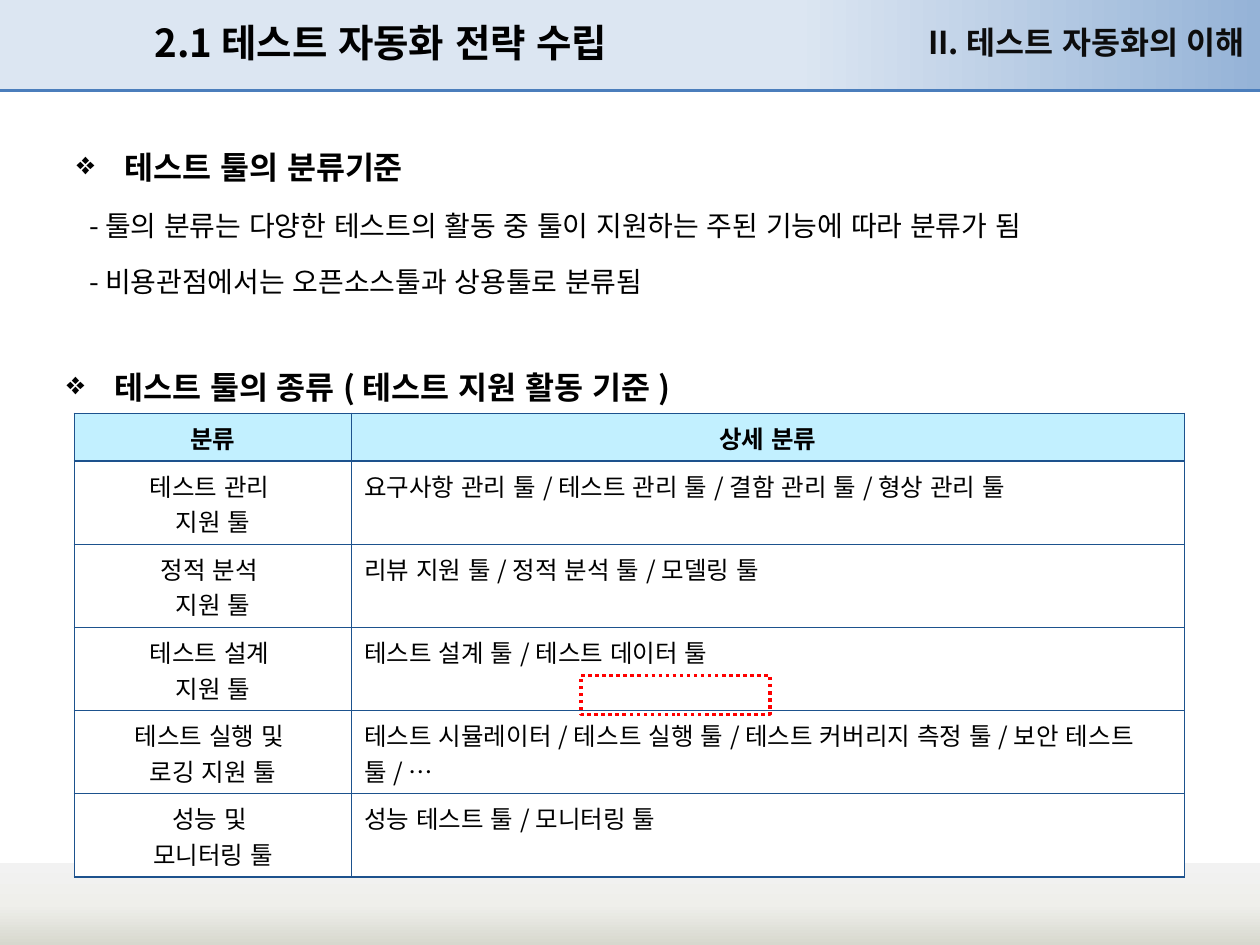
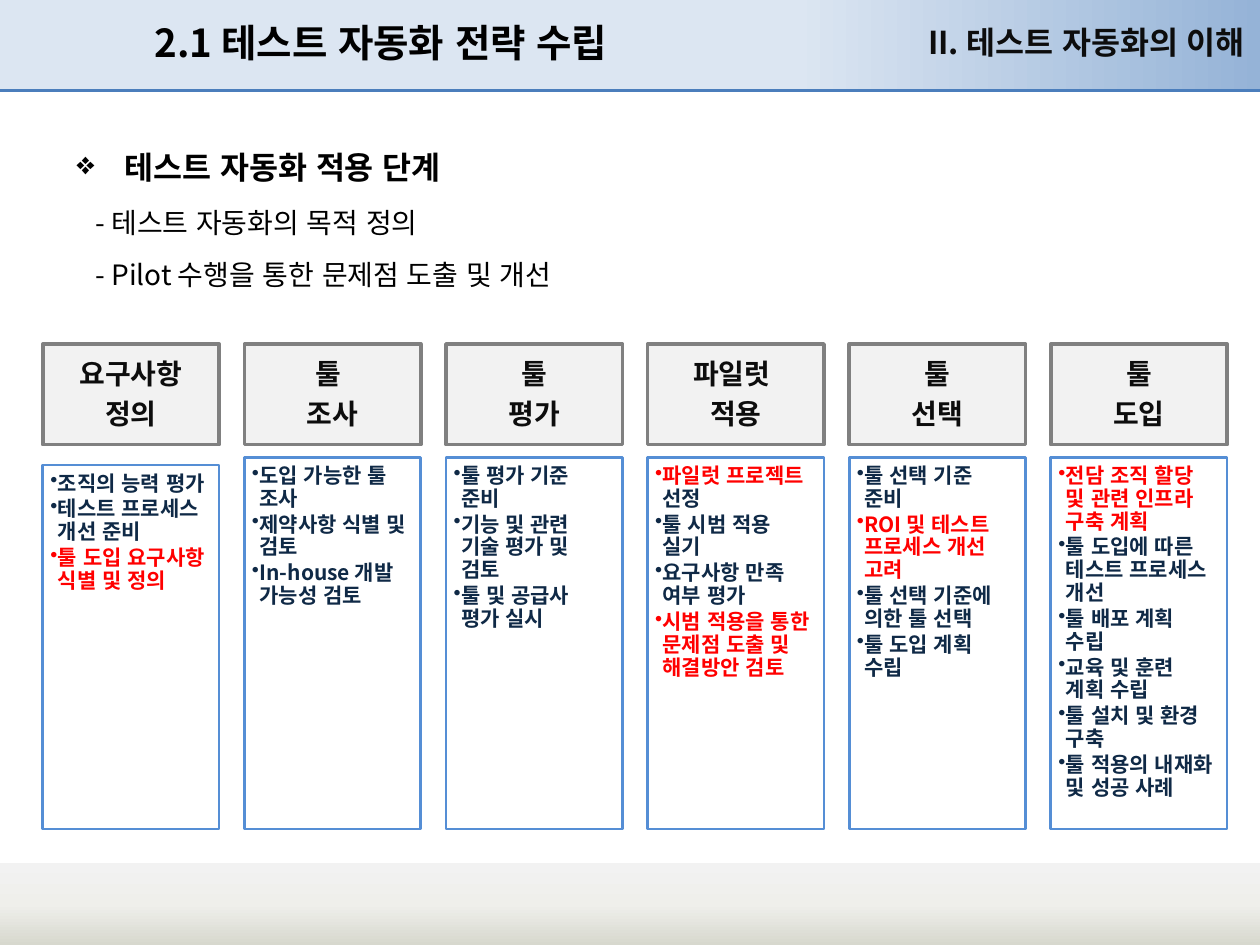
from lxml import etree
from pptx import Presentation
from pptx.dml.color import RGBColor
from pptx.enum.dml import MSO_LINE
from pptx.enum.lang import MSO_LANGUAGE_ID as LANG
from pptx.enum.shapes import MSO_CONNECTOR, MSO_SHAPE
from pptx.enum.text import MSO_ANCHOR as ANCHOR, PP_ALIGN as ALIGN
from pptx.oxml.ns import qn
from pptx.util import Inches, Pt

BLACK = RGBColor(0x00, 0x00, 0x00)
INK = RGBColor(0x0D, 0x0D, 0x0D)
NAVY = RGBColor(0x0F, 0x29, 0x46)
RED = RGBColor(0xFF, 0x00, 0x00)
WHITE = RGBColor(0xFF, 0xFF, 0xFF)
RULE = RGBColor(0x4B, 0x7E, 0xBC)
GRID = RGBColor(0x1D, 0x52, 0x8D)
HEAD = RGBColor(0xC2, 0xF0, 0xFF)
PALE = RGBColor(0xDC, 0xE6, 0xF2)
SKY = RGBColor(0x95, 0xB3, 0xD7)
BLUE = RGBColor(0x55, 0x8E, 0xD5)
GREY = RGBColor(0x80, 0x80, 0x80)
LIGHT = RGBColor(0xF2, 0xF2, 0xF2)
STONE = RGBColor(0xEF, 0xEF, 0xEB)
SAND = RGBColor(0xD7, 0xD8, 0xCE)

HEADER_STOPS = [(0, PALE), (63, PALE), (100, SKY)]
FOOTER_STOPS = [(0, LIGHT), (50, STONE), (100, SAND)]


def sub(parent, tag, **attrs):
    return etree.SubElement(parent, qn(tag), {k: str(v) for k, v in attrs.items()})


def navy(*texts):
    return [[(t, NAVY)] for t in texts]


def red(*texts):
    return [[(t, RED)] for t in texts]


class Deck:
    font = "Noto Sans CJK KR"

    def __init__(self):
        self.prs = Presentation()
        self.prs.slide_width, self.prs.slide_height = Inches(10), Inches(7.5)
        self.s = None

    def slide(self, title, chapter):
        self.s = self.prs.slides.add_slide(self.prs.slide_layouts[6])
        self.gradient(self.rect(0, -0.01, 10, 0.73), HEADER_STOPS, 0)
        self.gradient(self.rect(0, 6.85, 10, 0.65), FOOTER_STOPS, 90)
        self.rule(0, 0.72, 10, 0.72)
        tf = self.text(1.13, 0.05, 5.91, 0.57, anchor=ANCHOR.MIDDLE)
        self.para(tf, [(title, BLACK)], 22, bold=True)
        tf = self.text(6.81, 0.13, 3.07, 0.39, margins=(0, 0.05, 0, 0.05))
        self.para(tf, [(chapter, INK)], 18, bold=True, align=ALIGN.RIGHT)

    def rect(self, x, y, w, h, fill=None, line=None, width=1.5, dash=None):
        sp = self.s.shapes.add_shape(MSO_SHAPE.RECTANGLE, Inches(x), Inches(y), Inches(w), Inches(h))
        sp.shadow.inherit = False
        if fill is None:
            sp.fill.background()
        else:
            sp.fill.solid()
            sp.fill.fore_color.rgb = fill
        if line is None:
            sp.line.fill.background()
        else:
            sp.line.color.rgb = line
            sp.line.width = Pt(width)
            if dash:
                sp.line.dash_style = dash
        return sp

    def gradient(self, sp, stops, angle):
        sp.fill.gradient()
        grad = sp._element.spPr.find(qn("a:gradFill"))
        for child in list(grad):
            grad.remove(child)
        stop_list = sub(grad, "a:gsLst")
        for pos, color in stops:
            sub(sub(stop_list, "a:gs", pos=pos * 1000), "a:srgbClr", val=color)
        sub(grad, "a:lin", ang=angle * 60000, scaled=0)

    def rule(self, x1, y1, x2, y2):
        c = self.s.shapes.add_connector(MSO_CONNECTOR.STRAIGHT, Inches(x1), Inches(y1), Inches(x2), Inches(y2))
        c.line.color.rgb = RULE
        c.line.width = Pt(2)
        sub(c._element.spPr, "a:effectLst")

    def frame(self, tf, margins, anchor):
        tf.word_wrap = True
        tf.vertical_anchor = anchor
        tf.margin_left, tf.margin_top, tf.margin_right, tf.margin_bottom = map(Inches, margins)
        return tf

    def text(self, x, y, w, h, margins=(0.1, 0.05, 0.1, 0.05), anchor=ANCHOR.TOP):
        box = self.s.shapes.add_textbox(Inches(x), Inches(y), Inches(w), Inches(h))
        return self.frame(box.text_frame, margins, anchor)

    def para(self, tf, runs, size, bold=False, align=ALIGN.LEFT, bullet=None,
             left=0, hang=0, line=None, before=0, after=0):
        first = tf.paragraphs[0]
        p = tf.add_paragraph() if first.runs else first
        if left or hang:
            pPr = p._p.get_or_add_pPr()
            pPr.set("marL", str(Inches(left)))
            pPr.set("indent", str(-Inches(hang)))
        if bullet:
            sub(p._p.get_or_add_pPr(), "a:buChar", char=bullet)
        p.alignment = align
        if line:
            p.line_spacing = Pt(line)
        if p._p is not first._p:
            p.space_before = Pt(before)
        p.space_after = Pt(after)
        for words, color in runs:
            r = p.add_run()
            r.text = words
            r.font.size, r.font.bold, r.font.name = Pt(size), bold, self.font
            r.font.color.rgb = color
            r.font.language_id = LANG.KOREAN
            sub(r._r.get_or_add_rPr(), "a:ea", typeface=self.font)

    def heading(self, tf, words):
        self.para(tf, [(words, BLACK)], 18, bold=True, bullet="❖", left=0.38, hang=0.38, line=30.2)

    def intro(self, heading, points, left, line):
        tf = self.text(0.51, 1.01, 9.21, 1.7)
        self.heading(tf, heading)
        for point in points:
            self.para(tf, [("- " + point, BLACK)], 16, left=left, line=line, before=3.2)

    def table(self, x, y, widths, heights, rows):
        t = self.s.shapes.add_table(len(rows), len(widths), Inches(x), Inches(y),
                                    Inches(sum(widths)), Inches(sum(heights))).table
        for col, w in zip(t.columns, widths):
            col.width = Inches(w)
        for i, (row, h) in enumerate(zip(rows, heights)):
            t.rows[i].height = Inches(h)
            for j, words in enumerate(row):
                self.cell(t.cell(i, j), words, i == 0, i == 0 or j == 0)

    def cell(self, cell, words, head, centered):
        tcPr = cell._tc.get_or_add_tcPr()
        for side in "LRTB":
            ln = sub(tcPr, "a:ln" + side, w=Pt(1))
            sub(sub(ln, "a:solidFill"), "a:srgbClr", val=GRID)
        cell.fill.solid()
        cell.fill.fore_color.rgb = HEAD if head else WHITE
        cell.vertical_anchor = ANCHOR.MIDDLE if head else ANCHOR.TOP
        for words_line in words.split("\n"):
            self.para(cell.text_frame, [(words_line, BLACK)], 14, bold=head,
                      align=ALIGN.CENTER if centered else ALIGN.LEFT)

    def step(self, x, name, top, items):
        sp = self.rect(x, 2.73, 1.4, 0.8, LIGHT, GREY, 2)
        tf = self.frame(sp.text_frame, (0.1, 0.12, 0.1, 0.12), ANCHOR.MIDDLE)
        for words in name.split("\n"):
            self.para(tf, [(words, INK)], 16, bold=True, align=ALIGN.CENTER, line=18, before=5)
        sp = self.rect(x, top, 1.4, 6.58 - top, WHITE, BLUE)
        tf = self.frame(sp.text_frame, (0.06, 0.06, 0.08, 0.09), ANCHOR.TOP)
        for runs in items:
            self.para(tf, runs, 12, bold=True, bullet="•", left=0.06, hang=0.06, line=13, after=1.8)


TITLE = "2.1 테스트 자동화 전략 수립"
CHAPTER = "II. 테스트 자동화의 이해"

TOOLS = [
    ("분류", "상세 분류"),
    ("테스트 관리 \n지원 툴", "요구사항 관리 툴 / 테스트 관리 툴 / 결함 관리 툴 / 형상 관리 툴"),
    ("정적 분석 \n지원 툴", "리뷰 지원 툴 / 정적 분석 툴 / 모델링 툴"),
    ("테스트 설계 \n지원 툴", "테스트 설계 툴 / 테스트 데이터 툴"),
    ("테스트 실행 및 \n로깅 지원 툴",
     "테스트 시뮬레이터 / 테스트 실행 툴 / 테스트 커버리지 측정 툴 / 보안 테스트 툴 / …"),
    ("성능 및 \n모니터링 툴", "성능 테스트 툴 / 모니터링 툴"),
]

STEPS = [
    ("요구사항\n정의", navy("조직의 능력 평가", "테스트 프로세스 개선 준비")
     + red("툴 도입 요구사항 식별 및 정의")),
    ("툴 \n조사", navy("도입 가능한 툴 조사", "제약사항 식별 및 검토", "In-house 개발 가능성 검토")),
    ("툴\n평가", navy("툴 평가 기준 준비", "기능 및 관련 기술 평가 및 검토", "툴 및 공급사 평가 실시")),
    ("파일럿 \n적용", [[("파일럿 프로젝트 ", RED), ("선정", NAVY)]]
     + navy("툴 시범 적용 실기", "요구사항 만족 여부 평가")
     + red("시범 적용을 통한 문제점 도출 및 해결방안 검토")),
    ("툴\n선택", navy("툴 선택 기준 준비") + red("ROI 및 테스트 프로세스 개선 고려")
     + navy("툴 선택 기준에 의한 툴 선택", "툴 도입 계획 수립")),
    ("툴\n도입", red("전담 조직 할당 및 관련 인프라 구축 계획")
     + navy("툴 도입에 따른 테스트 프로세스 개선", "툴 배포 계획 수립", "교육 및 훈련 계획 수립",
            "툴 설치 및 환경 구축", "툴 적용의 내재화 및 성공 사례")),
]


def main():
    deck = Deck()

    deck.slide(TITLE, CHAPTER)
    deck.intro("테스트 툴의 분류기준",
               ["툴의 분류는 다양한 테스트의 활동 중 툴이 지원하는 주된 기능에 따라 분류가 됨",
                "비용관점에서는 오픈소스툴과 상용툴로 분류됨"], left=0.1, line=28.8)
    deck.table(0.59, 3.28, [2.2, 6.61], [0.38] + [0.66] * 5, TOOLS)
    deck.heading(deck.text(0.43, 2.75, 5.52, 0.53), "테스트 툴의 종류 ( 테스트 지원 활동 기준 )")
    deck.rect(4.61, 5.36, 1.5, 0.31, line=RED, width=2, dash=MSO_LINE.ROUND_DOT)

    deck.slide(TITLE, CHAPTER)
    deck.intro("테스트 자동화 적용 단계",
               ["테스트 자동화의 목적 정의", "Pilot 수행을 통한 문제점 도출 및 개선"], left=0.15, line=26.9)
    for i, (name, items) in enumerate(STEPS):
        deck.step(0.34 + 1.6 * i, name, 3.63 if i else 3.69, items)

    deck.prs.save("out.pptx")


if __name__ == "__main__":
    main()
